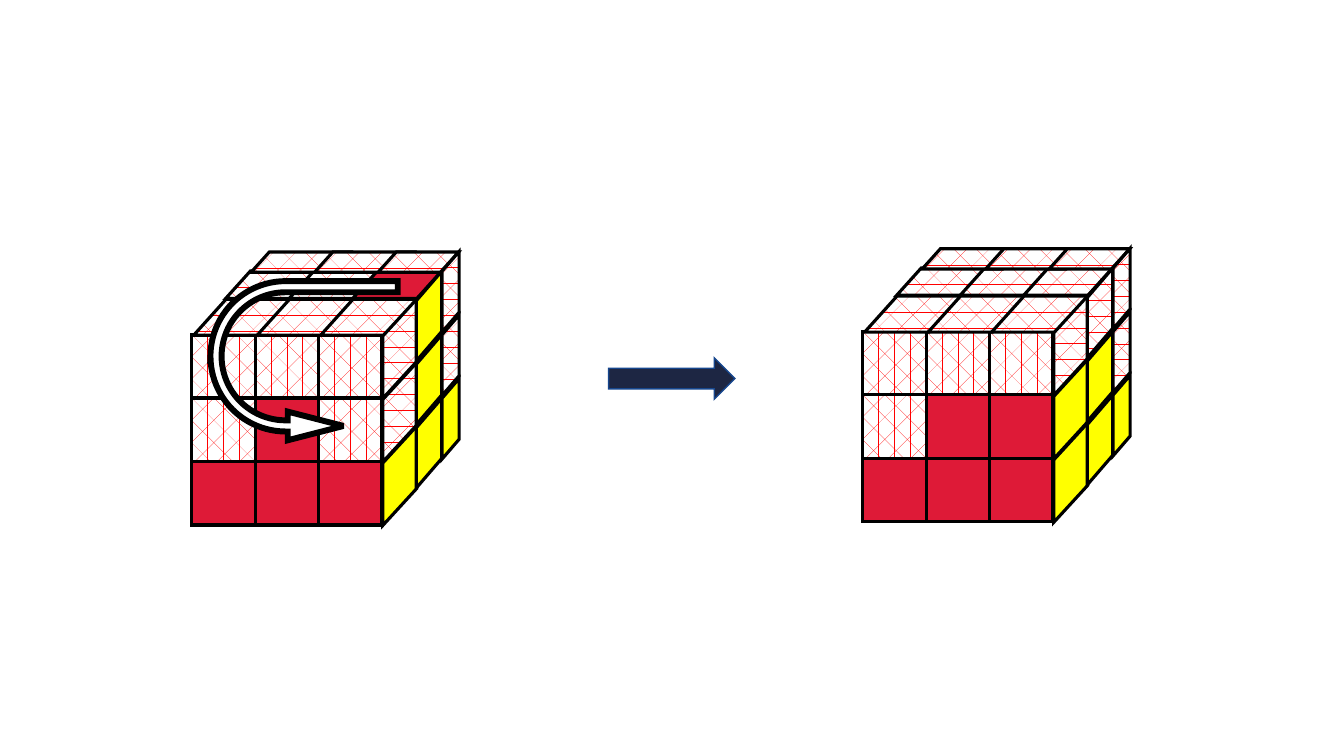
from dataclasses import dataclass

from lxml import etree
from pptx import Presentation
from pptx.dml.color import RGBColor
from pptx.enum.dml import MSO_PATTERN
from pptx.enum.shapes import MSO_SHAPE
from pptx.oxml.ns import qn
from pptx.util import Cm, Pt

SQUARE = MSO_SHAPE.RECTANGLE
SLANTED = MSO_SHAPE.PARALLELOGRAM
RIGHT_ARROW = MSO_SHAPE.RIGHT_ARROW
UTURN_ARROW = MSO_SHAPE.U_TURN_ARROW
DIVOT = MSO_PATTERN.DIVOT


@dataclass(frozen=True)
class Theme:
    """Colours and line widths of the slide."""
    red: str = "DE1A37"
    yellow: str = "FFFF00"
    hatch: str = "FF0000"
    white: str = "FFFFFF"
    black: str = "000000"
    navy: str = "1D2643"
    blue: str = "16468D"
    thin: float = 1
    edge: float = 2.25
    bold: float = 4.25


THEME = Theme()
STICKERS = {"R": THEME.red, "Y": THEME.yellow, ".": None}  # None is hatched
STEP = 1.6  # side of a front sticker
FRONT_TOP = 2.08

# Near to far: left, top, width, height, width of the last sticker
TOP_ROWS = [(0.05, 1.19, 2.44, 0.91, 2.44),
            (0.86, 0.48, 2.44, 0.69, 2.24),
            (1.5, 0, 2.49, 0.51, 2.03)]
TOP_SLANT = 0.9

# Near to far: left, top, length, thickness, slant
SIDE_COLUMNS = [(3.99, 2.01, 2.51, 0.86, 1.09),
                (4.85, 1.3, 2.26, 0.64, 1.16),
                (5.51, 0.79, 2.03, 0.43, 1.16)]


def add_shape(shapes, kind, box, fill, line=THEME.black, weight=THEME.edge,
              adjust=(), rotation=0, flip=None):
    """Add a preset shape; a fill of None gives the red hatch."""
    sp = shapes.add_shape(kind, *(Cm(v) for v in box))
    sp.shadow.inherit = False
    for i, value in enumerate(adjust):
        sp.adjustments[i] = value
    sp.rotation = rotation
    if flip:
        sp._element.spPr.find(qn("a:xfrm")).set(flip, "1")
    if fill:
        sp.fill.solid()
        sp.fill.fore_color.rgb = RGBColor.from_string(fill)
    else:
        sp.fill.patterned()
        sp.fill.pattern = DIVOT
        sp.fill.fore_color.rgb = RGBColor.from_string(THEME.hatch)
        sp.fill.back_color.rgb = RGBColor.from_string(THEME.white)
    sp.line.color.rgb = RGBColor.from_string(line)
    sp.line.width = Pt(weight)
    ln = sp._element.spPr.find(qn("a:ln"))
    etree.SubElement(ln, qn("a:miter"), lim="800000")
    return sp


def add_front(shapes, x, y, face):
    """Draw the square front face with its corner at x, y."""
    for row, stickers in enumerate(face):
        for col, key in enumerate(stickers):
            box = (x + col * STEP, y + FRONT_TOP + row * STEP, STEP, STEP)
            add_shape(shapes, SQUARE, box, STICKERS[key])


def add_top(shapes, x, y, face):
    """Draw the slanted top face, nearest row first."""
    for (dx, dy, w, h, last_w), stickers in zip(TOP_ROWS, face):
        for col, key in enumerate(stickers):
            box = (x + dx + col * STEP, y + dy, last_w if col == 2 else w, h)
            add_shape(shapes, SLANTED, box, STICKERS[key], adjust=[TOP_SLANT])


def add_side(shapes, x, y, face):
    """Draw the right face; each row runs from near to far."""
    for row, stickers in enumerate(face):
        for (dx, dy, w, h, slant), key in zip(SIDE_COLUMNS, stickers):
            box = (x + dx, y + dy + row * STEP, w, h)
            add_shape(shapes, SLANTED, box, STICKERS[key], adjust=[slant],
                      rotation=270, flip="flipH")


def add_cube(slide, x, y, front, top, side):
    """Draw one cube as a group whose corner is at x, y."""
    shapes = slide.shapes.add_group_shape().shapes
    add_front(shapes, x, y, front)
    add_top(shapes, x, y, top)
    add_side(shapes, x, y, side)


def add_turn(slide, x, y):
    """Draw the U-turn arrow over the cube at x, y."""
    add_shape(slide.shapes, UTURN_ARROW, (x + 0.83, y + 0.38, 4.01, 4.72),
              THEME.white, weight=THEME.bold, rotation=90, flip="flipV",
              adjust=[0.07, 0.09, 0.35, 0.48, 0.71])


def build_move_slide(prs):
    """Show the cube before and after one move."""
    slide = prs.slides.add_slide(prs.slide_layouts[6])
    before, after = (4.83, 6.35), (21.74, 6.27)
    add_shape(slide.shapes, RIGHT_ARROW, (15.34, 9.02, 3.18, 1.04),
              THEME.navy, line=THEME.blue, weight=THEME.thin)
    add_cube(slide, *before, front=["...", ".R.", "RRR"],
             top=["...", "..R", "..."], side=[".Y.", ".Y.", "YYY"])
    add_cube(slide, *after, front=["...", ".RR", "RRR"],
             top=["...", "...", "..."], side=["...", "YY.", "YYY"])
    add_turn(slide, *before)


prs = Presentation()
prs.slide_width, prs.slide_height = Cm(33.87), Cm(19.05)
build_move_slide(prs)
prs.save("out.pptx")
